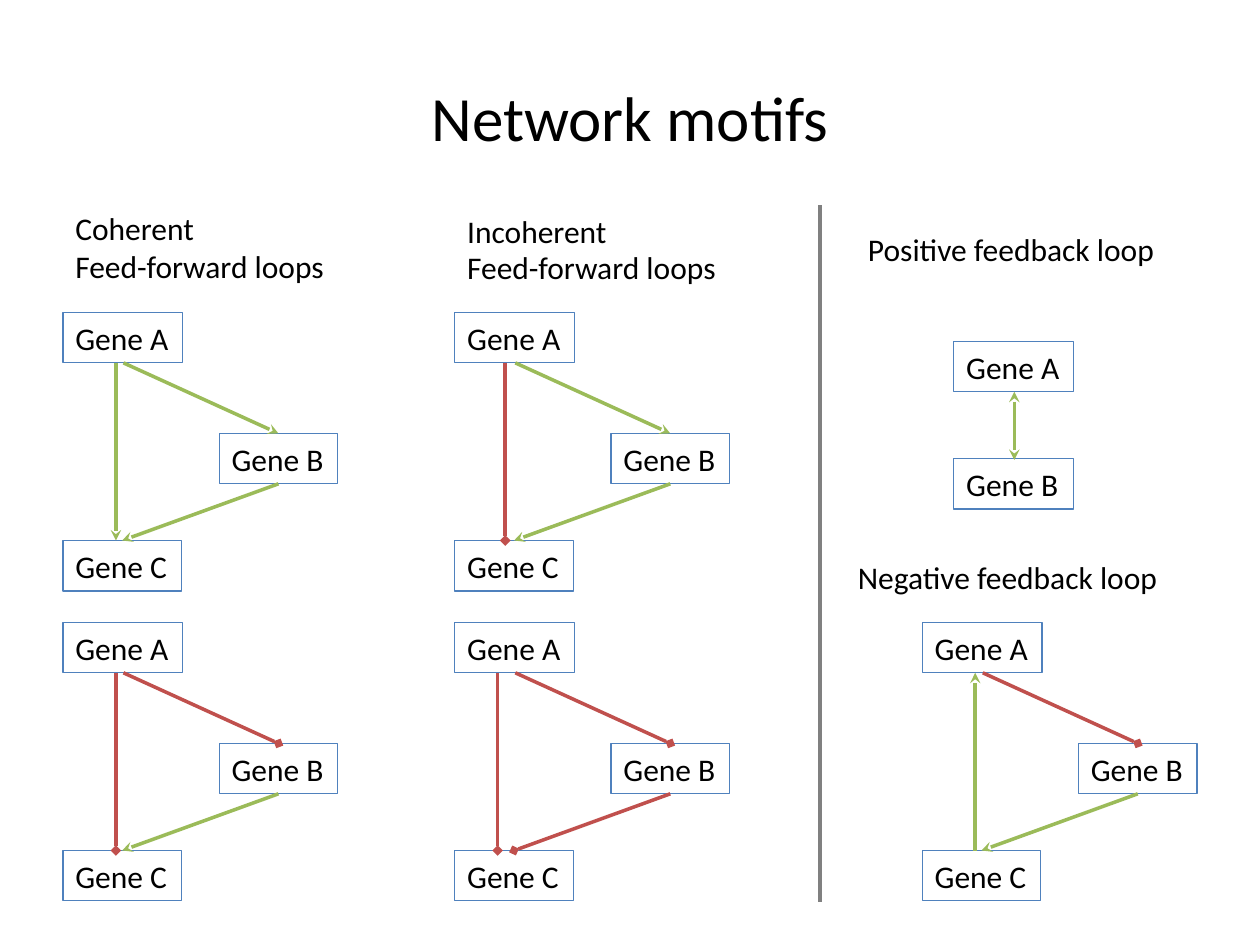
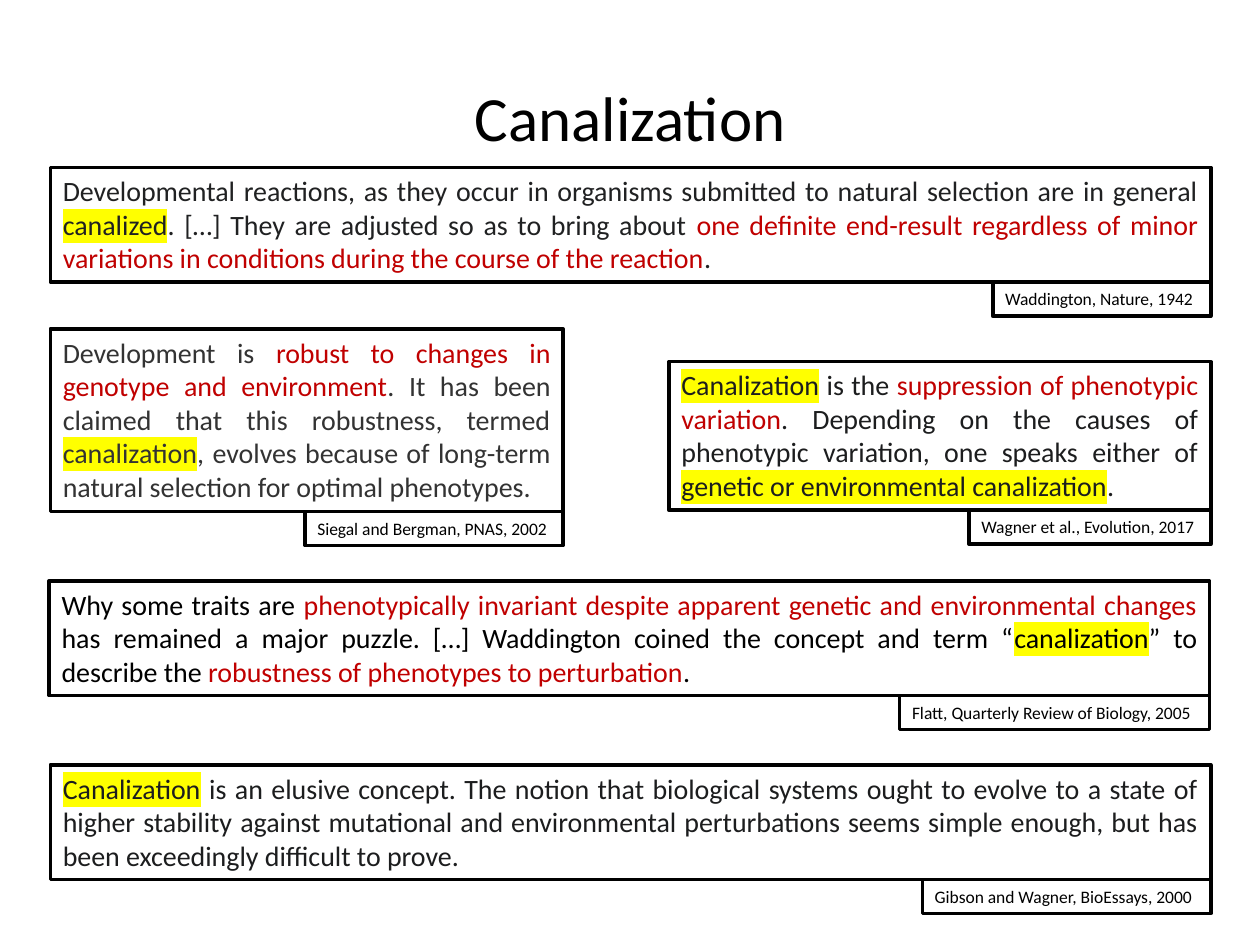
"""Build two slides: network motifs in gene regulation, and definitions of canalization."""
from lxml.etree import SubElement
from pptx import Presentation
from pptx.dml.color import RGBColor
from pptx.enum.shapes import MSO_CONNECTOR
from pptx.enum.text import MSO_ANCHOR, MSO_AUTO_SIZE, PP_ALIGN
from pptx.oxml.ns import qn
from pptx.util import Inches, Pt

FONT = "Calibri"
BLACK = RGBColor(0x00, 0x00, 0x00)
WHITE = RGBColor(0xFF, 0xFF, 0xFF)
GRAY = RGBColor(0x80, 0x80, 0x80)
BLUE = RGBColor(0x4F, 0x81, 0xBD)
GREEN = RGBColor(0x9B, 0xBB, 0x59)
RED = RGBColor(0xC0, 0x50, 0x4D)
DARK_RED = RGBColor(0xC0, 0x00, 0x00)
YELLOW = RGBColor(0xFF, 0xFF, 0x00)
INK = RGBColor(0x1C, 0x1D, 0x1E)
SLATE = RGBColor(0x20, 0x21, 0x22)
CHARCOAL = RGBColor(0x33, 0x33, 0x33)

ACTIVATES = (GREEN, "stealth")
REPRESSES = (RED, "diamond")
GENE_HEIGHT = 0.4
CITATION_HEIGHT = 0.27


def add_text(shapes, bounds, runs, size, color=BLACK, border=None, wrap=False):
    """Add a text box; each run is its text and its emphasis colour or None."""
    box = shapes.add_textbox(*[Inches(length) for length in bounds])
    frame = box.text_frame
    frame.word_wrap = wrap
    frame.auto_size = MSO_AUTO_SIZE.SHAPE_TO_FIT_TEXT
    paragraph = frame.paragraphs[0]
    if wrap:
        paragraph.alignment = PP_ALIGN.JUSTIFY
    for text, emphasis in runs:
        run = paragraph.add_run()
        run.text = text
        run.font.name = FONT
        run.font.size = Pt(size)
        run.font.color.rgb = DARK_RED if emphasis == DARK_RED else color
        if emphasis == YELLOW:
            properties = run._r.get_or_add_rPr()
            highlight = SubElement(properties, qn("a:highlight"))
            SubElement(highlight, qn("a:srgbClr"), val=str(YELLOW))
            properties.find(qn("a:solidFill")).addnext(highlight)
    if border:
        box.line.color.rgb, box.line.width = border[0], Pt(border[1])
    return box


def add_line(shapes, start, end, color, head=None, tail=None):
    """Add a straight line with optional arrowheads at its start and end."""
    points = [Inches(length) for length in (*start, *end)]
    connector = shapes.add_connector(MSO_CONNECTOR.STRAIGHT, *points)
    connector.line.color.rgb = color
    connector.line.width = Pt(2)
    properties = connector.element.spPr
    outline = properties.find(qn("a:ln"))
    for tag, kind in (("a:headEnd", head), ("a:tailEnd", tail)):
        if kind:
            SubElement(outline, qn(tag), type=kind)
    SubElement(properties, qn("a:effectLst"))


presentation = Presentation()
presentation.slide_width = Inches(10)
presentation.slide_height = Inches(7.5)

slides = []
for heading in ("Network motifs", "Canalization"):
    slide = presentation.slides.add_slide(presentation.slide_layouts[5])
    title = slide.shapes.title
    title.left, title.top = Inches(0.5), Inches(0.3)
    title.width, title.height = Inches(9), Inches(1.25)
    title.text_frame.vertical_anchor = MSO_ANCHOR.MIDDLE
    paragraph = title.text_frame.paragraphs[0]
    paragraph.alignment = PP_ALIGN.CENTER
    run = paragraph.add_run()
    run.text = heading
    run.font.name = FONT
    run.font.size = Pt(36)
    run.font.color.rgb = BLACK
    slides.append(slide)
motif_slide, quote_slide = slides

motif_headings = [
    ("Coherent", 0.5, 1.61, 1.16),
    ("Feed-forward loops", 0.5, 1.91, 2.2),
    ("Incoherent", 3.61, 1.63, 1.32),
    ("Feed-forward loops", 3.61, 1.92, 2.2),
    ("Positive feedback loop", 6.79, 1.78, 2.58),
    ("Negative feedback loop", 6.71, 4.38, 2.69),
]
for text, left, top, width in motif_headings:
    add_text(motif_slide.shapes, (left, top, width, 0.4), [(text, None)], 18)
add_line(motif_slide.shapes, (6.51, 1.63), (6.51, 7.16), GRAY)

COHERENT, INCOHERENT, FEEDBACK = 0.5, 3.61, 7.32
UPPER, LOWER = 2.48, 4.94
loops = [
    (COHERENT, UPPER, ACTIVATES, ACTIVATES, ACTIVATES, 0.42, False),
    (COHERENT, LOWER, REPRESSES, ACTIVATES, REPRESSES, 0.42, False),
    (INCOHERENT, UPPER, ACTIVATES, ACTIVATES, REPRESSES, 0.4, False),
    (INCOHERENT, LOWER, REPRESSES, REPRESSES, REPRESSES, 0.34, False),
    (FEEDBACK, LOWER, REPRESSES, ACTIVATES, ACTIVATES, 0.42, True),
]
for left, top, a_to_b, b_to_c, direct, direct_offset, returns in loops:
    shapes = motif_slide.shapes.add_group_shape().shapes
    b_top, c_top = top + 0.96, top + 1.81
    genes = [
        ("Gene A", left, top, 0.95),
        ("Gene B", left + 1.24, b_top, 0.94),
        ("Gene C", left, c_top, 0.94),
    ]
    for name, gene_left, gene_top, width in genes:
        bounds = (gene_left, gene_top, width, GENE_HEIGHT)
        add_text(shapes, bounds, [(name, None)], 18, border=(BLUE, 0.75))
    a_bottom, b_center, direct_x = top + GENE_HEIGHT, left + 1.71, left + direct_offset
    direct_ends = [(direct_x, a_bottom), (direct_x, c_top)]
    if returns:
        direct_ends.reverse()
    regulations = [
        ((left + 0.48, a_bottom), (b_center, b_top), a_to_b),
        ((b_center, b_top + GENE_HEIGHT), (left + 0.47, c_top), b_to_c),
        (*direct_ends, direct),
    ]
    for start, end, (color, arrowhead) in regulations:
        add_line(shapes, start, end, color, tail=arrowhead)

shapes = motif_slide.shapes.add_group_shape().shapes
for name, top in (("Gene A", 2.71), ("Gene B", 3.64)):
    add_text(shapes, (7.57, top, 0.95, GENE_HEIGHT), [(name, None)], 18, border=(BLUE, 0.75))
add_line(shapes, (8.05, 3.11), (8.05, 3.65), GREEN, head="stealth", tail="stealth")

quotes = [
    ((0.4, 1.33, 9.21, 0.91), SLATE, "Waddington, Nature, 1942", 1.73, [
        ("Developmental reactions, as they occur in organisms submitted to natural "
         "selection are in general ", None),
        ("canalized", YELLOW),
        (". […] They are adjusted so as to bring about ", None),
        ("one definite end-result regardless of minor variations in conditions "
         "during the course of the reaction", DARK_RED),
        (".", None),
    ]),
    ((0.4, 2.61, 4.07, 1.45), CHARCOAL, "Siegal and Bergman, PNAS, 2002", 2.05, [
        ("Development is ", None),
        ("robust to changes in genotype and environment", DARK_RED),
        (". It has been claimed that this robustness, termed ", None),
        ("canalization", YELLOW),
        (", evolves because of long-term natural selection for optimal phenotypes.", None),
    ]),
    ((5.31, 2.87, 4.3, 1.18), INK, "Wagner et al., Evolution, 2017", 1.92, [
        ("Canalization", YELLOW),
        (" is the ", None),
        ("suppression of phenotypic variation", DARK_RED),
        (". Depending on the causes of phenotypic variation, one speaks either of ", None),
        ("genetic or environmental canalization", YELLOW),
        (".", None),
    ]),
    ((0.39, 4.61, 9.21, 0.91), BLACK, "Flatt, Quarterly Review of Biology, 2005", 2.46, [
        ("Why some traits are ", None),
        ("phenotypically invariant despite apparent genetic and environmental changes ",
         DARK_RED),
        ("has remained a major puzzle. […] Waddington coined the concept and term “", None),
        ("canalization", YELLOW),
        ("” to describe the ", None),
        ("robustness of phenotypes to perturbation", DARK_RED),
        (".", None),
    ]),
    ((0.4, 6.07, 9.21, 0.91), INK, "Gibson and Wagner, BioEssays, 2000", 2.29, [
        ("Canalization", YELLOW),
        (" is an elusive concept. The notion that biological systems ought to evolve to a "
         "state of higher stability against mutational and environmental perturbations "
         "seems simple enough, but has been exceedingly difficult to prove.", None),
    ]),
]
for bounds, color, citation, citation_width, runs in quotes:
    left, top, width, height = bounds
    citation_bounds = (left + width - citation_width, top + height, citation_width, CITATION_HEIGHT)
    quote_box = add_text(quote_slide.shapes, bounds, runs, 16, color, (BLACK, 2), wrap=True)
    citation_box = add_text(quote_slide.shapes, citation_bounds, [(citation, None)], 10,
                            border=(BLACK, 2))
    for box in (quote_box, citation_box):
        box.fill.solid()
        box.fill.fore_color.rgb = WHITE

presentation.save("out.pptx")
